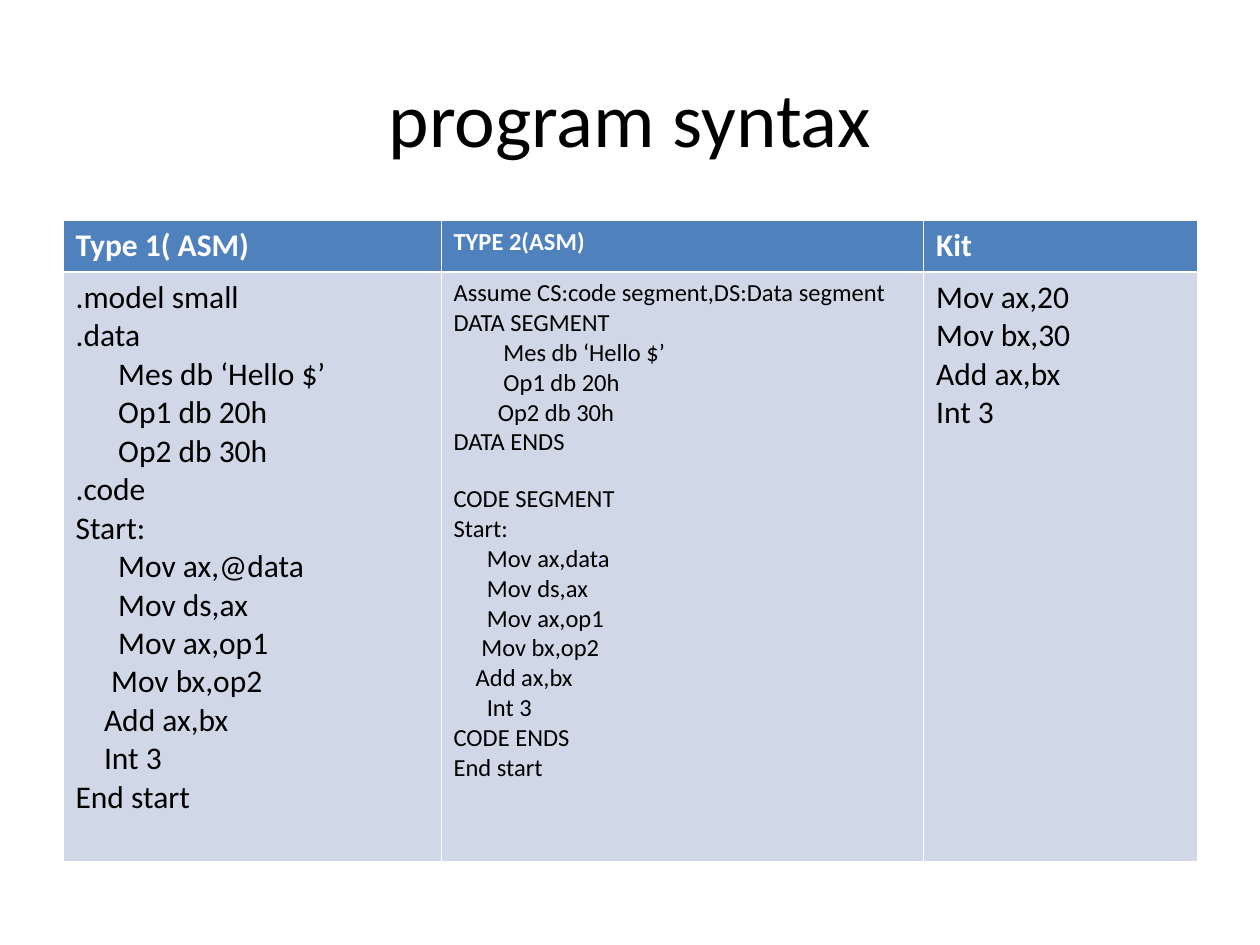
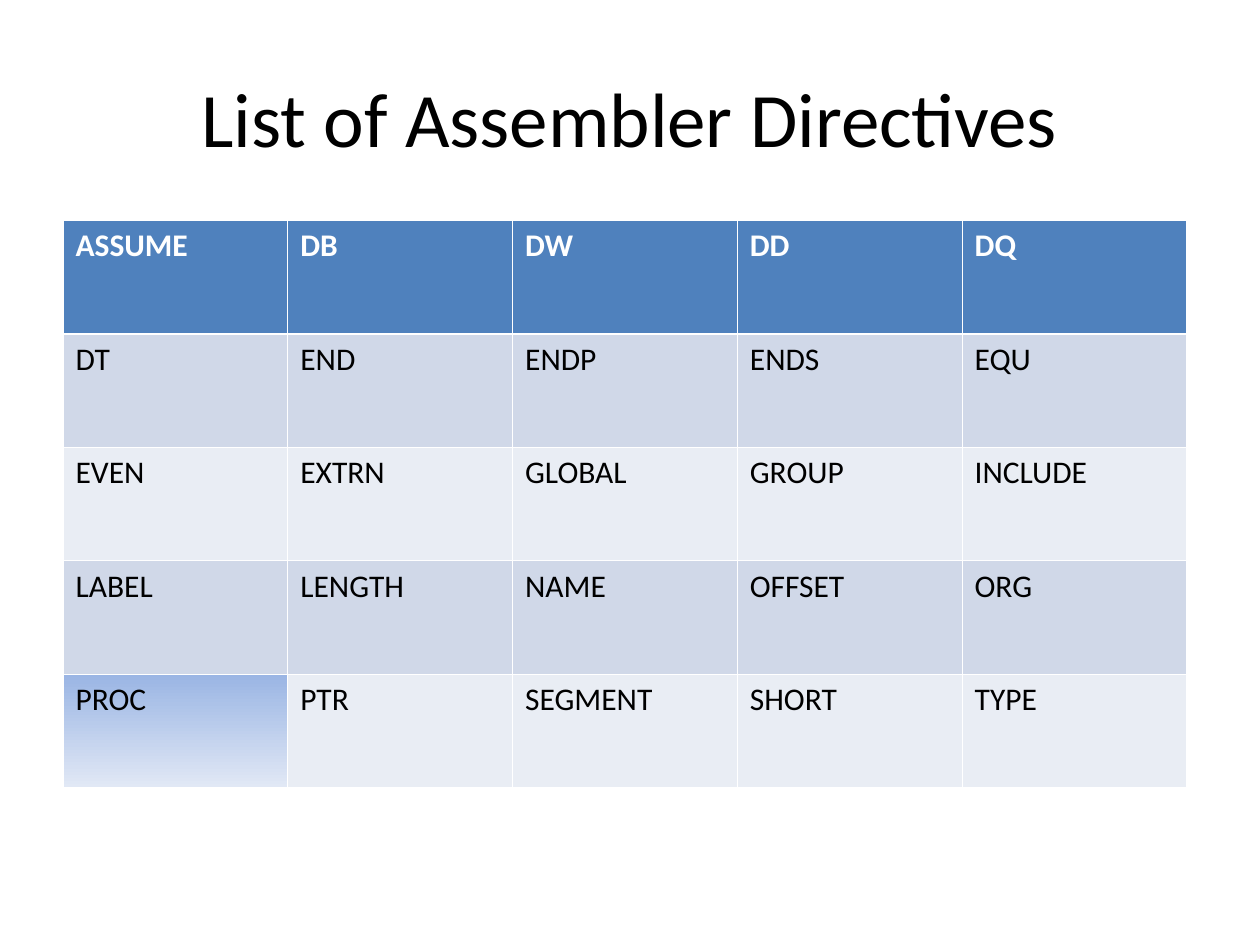
from lxml.etree import SubElement
from pptx import Presentation
from pptx.dml.color import RGBColor
from pptx.enum.text import MSO_ANCHOR, PP_ALIGN
from pptx.oxml.ns import qn
from pptx.util import Inches, Pt

SIMPLE_MODEL = """.model small
.data
      Mes db ‘Hello $’
      Op1 db 20h
      Op2 db 30h
.code
Start:
      Mov ax,@data
      Mov ds,ax
      Mov ax,op1
     Mov bx,op2
    Add ax,bx
    Int 3
End start"""

FULL_SEGMENTS = """Assume CS:code segment,DS:Data segment
DATA SEGMENT
         Mes db ‘Hello $’
         Op1 db 20h
        Op2 db 30h
DATA ENDS
CODE SEGMENT
Start:
      Mov ax,data
      Mov ds,ax
      Mov ax,op1
     Mov bx,op2
    Add ax,bx
      Int 3
CODE ENDS
End start"""

KIT = """Mov ax,20
Mov bx,30
Add ax,bx
Int 3"""

SYNTAX = [
    ["Type 1( ASM)", "TYPE 2(ASM)", "Kit"],
    [SIMPLE_MODEL, FULL_SEGMENTS, KIT],
]
DIRECTIVES = [
    ["ASSUME", "DB", "DW", "DD", "DQ"],
    ["DT", "END", "ENDP", "ENDS", "EQU"],
    ["EVEN", "EXTRN", "GLOBAL", "GROUP", "INCLUDE"],
    ["LABEL", "LENGTH", "NAME", "OFFSET", "ORG"],
    ["PROC", "PTR", "SEGMENT", "SHORT", "TYPE"],
]

FONT = "Calibri"
BLACK = RGBColor(0x00, 0x00, 0x00)
WHITE = RGBColor(0xFF, 0xFF, 0xFF)
HEADER = RGBColor(0x4F, 0x81, 0xBD)
BANDS = [RGBColor(0xE9, 0xED, 0xF4), RGBColor(0xD0, 0xD8, 0xE8)]
GRADIENT = [RGBColor(0x9A, 0xB5, 0xE4), RGBColor(0xE1, 0xE8, 0xF5)]
THIN, THICK = 0.45, 1.47


def set_font(p, size, color, bold=False):
    p.font.name = FONT
    p.font.size = Pt(size)
    p.font.bold = bold
    p.font.color.rgb = color


def set_borders(cell, row):
    widths = {
        "L": THIN,
        "R": THIN,
        "T": THICK if row == 1 else THIN,
        "B": THICK if row == 0 else THIN,
    }
    tcPr = cell._tc.get_or_add_tcPr()
    for side, width in widths.items():
        ln = SubElement(tcPr, qn(f"a:ln{side}"), w=str(Pt(width)))
        fill = SubElement(ln, qn("a:solidFill"))
        SubElement(fill, qn("a:srgbClr"), val=str(WHITE))


def add_titled_slide(prs, title):
    s = prs.slides.add_slide(prs.slide_layouts[5])
    sp = s.shapes.title
    sp.left, sp.top = Inches(0.5), Inches(0.3)
    sp.width, sp.height = Inches(9), Inches(1.25)
    tf = sp.text_frame
    tf.text = title
    tf.vertical_anchor = MSO_ANCHOR.MIDDLE
    p = tf.paragraphs[0]
    p.alignment = PP_ALIGN.CENTER
    set_font(p, 44, BLACK)
    return s


def add_grid(s, rows, widths, heights, sizes):
    table = s.shapes.add_table(
        len(rows), len(widths), Inches(0.5), Inches(1.75),
        Inches(sum(widths)), Inches(sum(heights))).table
    for column, width in zip(table.columns, widths):
        column.width = Inches(width)
    for r, (texts, height) in enumerate(zip(rows, heights)):
        table.rows[r].height = Inches(height)
        for c, (text, size) in enumerate(zip(texts, sizes)):
            cell = table.cell(r, c)
            set_borders(cell, r)
            cell.fill.solid()
            cell.fill.fore_color.rgb = BANDS[r % 2] if r else HEADER
            cell.text = text
            for p in cell.text_frame.paragraphs:
                set_font(p, size, BLACK if r else WHITE, bold=r == 0)
                if p.text == "CODE SEGMENT":
                    p.space_before = Pt(15.5)
    return table


def main():
    prs = Presentation()
    prs.slide_width, prs.slide_height = Inches(10), Inches(7.5)

    s = add_titled_slide(prs, "program syntax")
    add_grid(s, SYNTAX, [3, 3.83, 2.17], [0.41, 4.68], [18, 14, 18])

    s = add_titled_slide(prs, "List of Assembler Directives")
    table = add_grid(s, DIRECTIVES, [8.92 / 5] * 5, [0.9] * 5, [18] * 5)
    fill = table.cell(4, 0).fill
    fill.gradient()
    fill.gradient_angle = 270
    for stop, color in zip(fill.gradient_stops, GRADIENT):
        stop.color.rgb = color

    prs.save("out.pptx")


if __name__ == "__main__":
    main()
